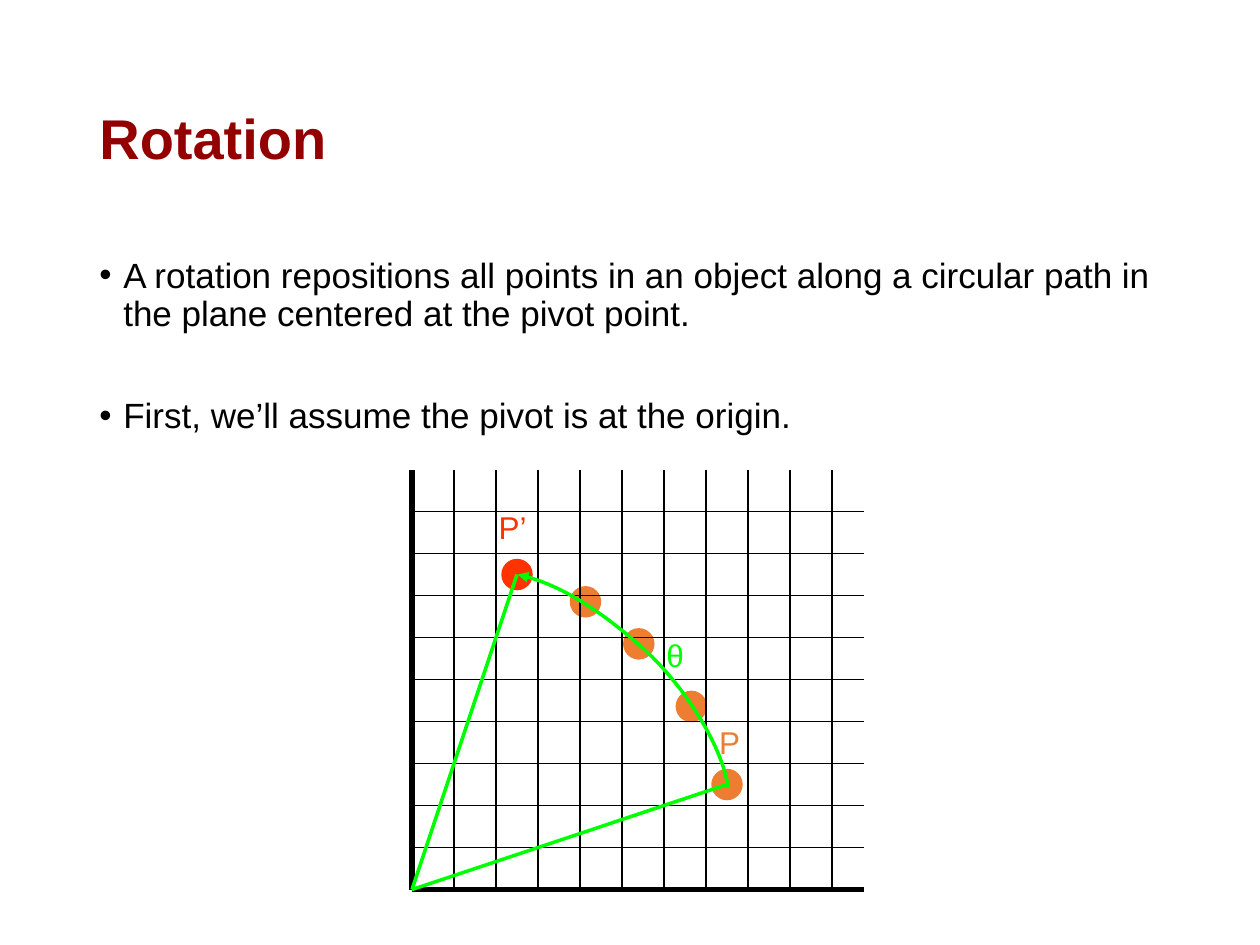
from lxml.etree import SubElement
from pptx import Presentation
from pptx.dml.color import RGBColor as Rgb
from pptx.enum.shapes import MSO_CONNECTOR as Connector, MSO_SHAPE as Shape
from pptx.enum.text import MSO_ANCHOR as Anchor
from pptx.oxml.ns import qn
from pptx.util import Inches, Pt

COLORS = {
    "title": "920000",
    "ink": "000000",
    "point": "ED7D31",
    "rotated": "FF3300",
    "turn": "00FF00",
}

# Plot grid: cells of a third of an inch, counted from the pivot
ORIGIN_X, ORIGIN_Y, CELL = 3.27, 7.06, 1 / 3
COLUMNS, ROWS = 10.77, 10
DOT = 0.75
PIVOT, START, END = (0, 0), (7.5, 2.5), (2.5, 7.5)
STEPS = [(5.4, 5.85), (4.13, 6.85), (6.65, 4.36)]
ARC = [
    [(7.53, 2.43), (7.41, 3.33), (6.57, 4.77), (5.52, 5.73)],
    [(5.52, 5.73), (4.44, 6.69), (3.48, 7.29), (2.52, 7.5)],
]
BULLETS = [
    "A rotation repositions all points in an object along a circular path in "
    "the plane centered at the pivot point.",
    "First, we’ll assume the pivot is at the origin.",
]


def color(name):
    return Rgb.from_string(COLORS[name])


def place(column, row):
    return Inches(ORIGIN_X + column * CELL), Inches(ORIGIN_Y - row * CELL)


def set_format(target, values):
    for name, value in values.items():
        setattr(target, name, value)


def style_font(font, ink, **values):
    set_format(font, {"name": "Arial", **values})
    font.color.rgb = color(ink)


def add_box(page, left, top, width, height, **frame_format):
    box = page.shapes.add_textbox(left, top, width, height)
    set_format(box.text_frame, frame_format)
    return box.text_frame


def add_bullet(para, text, gap):
    properties = para._p.get_or_add_pPr()
    indent = Inches(0.19)
    properties.set("marL", str(indent))
    properties.set("indent", str(-indent))
    SubElement(properties, qn("a:buFont")).set("typeface", "Arial")
    SubElement(properties, qn("a:buChar")).set("char", "•")
    set_format(para, {"line_spacing": 0.9, "space_before": Pt(gap)})
    span = para.add_run()
    span.text = text
    style_font(span.font, "ink", size=Pt(20))


def add_line(page, start, end, ink, width):
    line = page.shapes.add_connector(
        Connector.STRAIGHT, *place(*start), *place(*end))
    SubElement(line._element.spPr, qn("a:effectLst"))
    line.line.color.rgb = color(ink)
    line.line.width = Pt(width)


def add_dot(page, center, ink):
    left, top = place(center[0] - DOT / 2, center[1] + DOT / 2)
    size = Inches(DOT * CELL)
    dot = page.shapes.add_shape(Shape.OVAL, left, top, size, size)
    dot.shadow.inherit = False
    dot.fill.solid()
    dot.fill.fore_color.rgb = color(ink)
    dot.line.fill.background()


def add_label(page, text, corner, width, height, ink):
    frame = add_box(page, *place(*corner), Inches(width), Inches(height),
                    word_wrap=False)
    span = frame.paragraphs[0].add_run()
    span.text = text
    style_font(span.font, ink, size=Pt(18))


def bezier(points, t):
    weights = ((1 - t) ** 3, 3 * t * (1 - t) ** 2, 3 * t * t * (1 - t), t ** 3)
    return tuple(sum(w * p[axis] for w, p in zip(weights, points))
                 for axis in (0, 1))


def add_arc(page, curves, ink, width, pieces=16):
    vertices = [place(*bezier(curve, step / pieces))
                for curve in curves for step in range(1, pieces + 1)]
    builder = page.shapes.build_freeform(*place(*curves[0][0]))
    builder.add_line_segments(vertices, close=False)
    arc = builder.convert_to_shape()
    arc.shadow.inherit = False
    arc.fill.background()
    arc.line.color.rgb = color(ink)
    arc.line.width = Pt(width)
    arrow = SubElement(arc.line._get_or_add_ln(), qn("a:tailEnd"))
    arrow.set("type", "triangle")


def add_grid(page):
    add_line(page, PIVOT, (0, ROWS), "ink", 3)
    add_line(page, PIVOT, (COLUMNS, 0), "ink", 3)
    for column in range(1, int(COLUMNS) + 1):
        add_line(page, (column, ROWS), (column, 0), "ink", 0.75)
    for row in range(1, ROWS):
        add_line(page, (0, row), (COLUMNS, row), "ink", 0.75)


def main():
    deck = Presentation()
    set_format(deck, {"slide_width": Inches(10), "slide_height": Inches(7.5)})
    page = deck.slides.add_slide(deck.slide_layouts[6])
    left, width = Inches(0.69), Inches(8.62)

    # Points passed on the way, behind the grid
    for step in STEPS:
        add_dot(page, step, "point")

    # Title
    title = add_box(page, left, Inches(0.4), width, Inches(1.45),
                    word_wrap=True, vertical_anchor=Anchor.MIDDLE)
    para = title.paragraphs[0]
    para.line_spacing = 0.9
    span = para.add_run()
    span.text = "Rotation"
    style_font(span.font, "title", size=Pt(32), bold=True)

    # Bullets
    body = add_box(page, left, Inches(2), width, Inches(4.76), word_wrap=True)
    for index, text in enumerate(BULLETS):
        para = body.add_paragraph() if index else body.paragraphs[0]
        add_bullet(para, text, 37 if index else 0)

    # Plot
    add_grid(page)
    add_dot(page, START, "point")
    add_dot(page, END, "rotated")
    add_label(page, "θ", (5.76, 6.18), 0.33, 0.4, "turn")
    add_arc(page, ARC, "turn", 2)
    for point in (START, END):
        add_line(page, PIVOT, point, "turn", 2)
    add_label(page, "P", (7.02, 4.11), 0.4, 0.5, "point")
    add_label(page, "P’", (1.77, 9.24), 0.52, 0.5, "rotated")

    deck.save("out.pptx")


if __name__ == "__main__":
    main()
